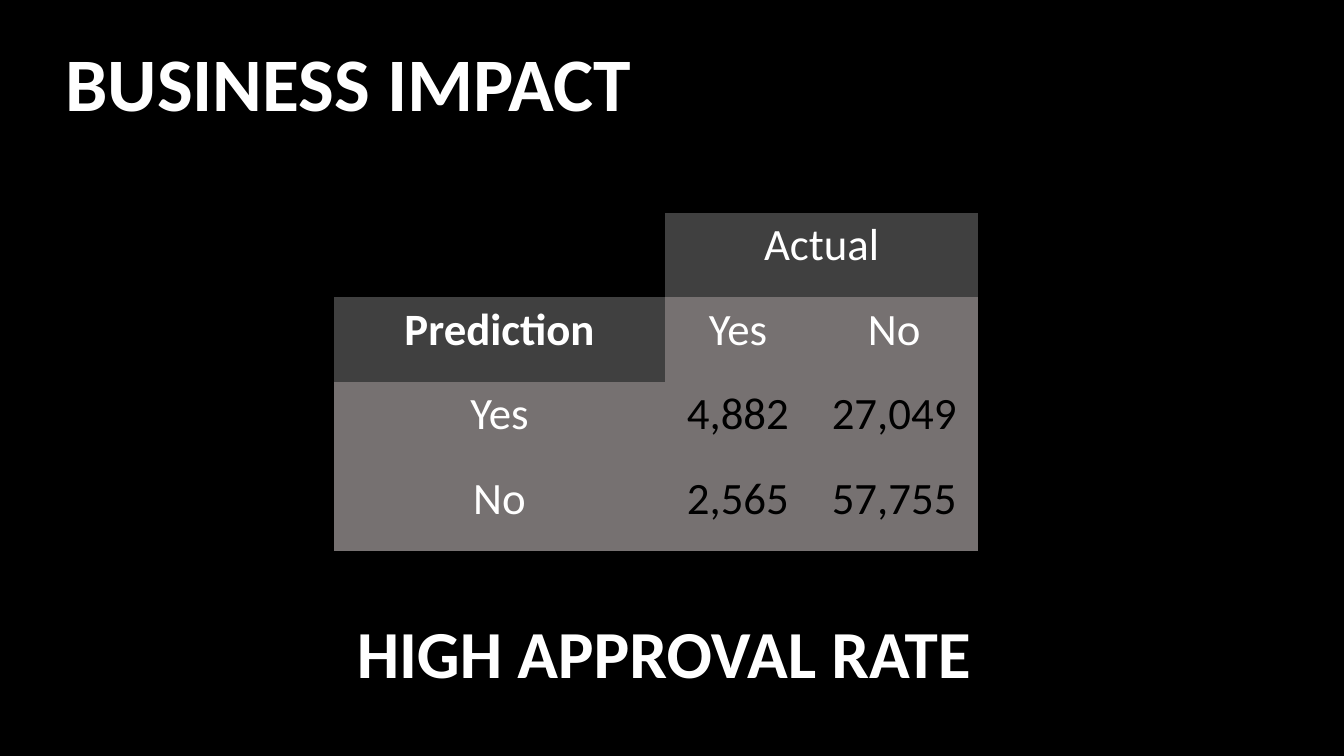
from pptx import Presentation
from pptx.dml.color import RGBColor
from pptx.enum.text import MSO_ANCHOR, MSO_AUTO_SIZE, PP_ALIGN
from pptx.util import Inches, Pt

BLACK, WHITE, DARK, GRAY = "000000", "FFFFFF", "404040", "767171"
NO_GRID_STYLE = "{2D5ABB26-0587-4C30-8999-92F81FD0307C}"

COLUMN_WIDTHS = [3.29, 1.44, 1.66]
ROW_HEIGHT = 0.84
MATRIX = [
    ["", "Actual", ""],
    ["Prediction", "Yes", "No"],
    ["Yes", "4,882", "27,049"],
    ["No", "2,565", "57,755"],
]


def color(value):
    return RGBColor.from_string(value)


def fill_solid(fill, value):
    fill.solid()
    fill.fore_color.rgb = color(value)


def write(frame, text, size, ink=WHITE, bold=False, align=PP_ALIGN.LEFT, line_spacing=1.0):
    para = frame.paragraphs[0]
    para.alignment = align
    para.line_spacing = line_spacing
    span = para.add_run()
    span.text = text
    span.font.name = "Calibri"
    span.font.size = Pt(size)
    span.font.bold = bold
    span.font.color.rgb = color(ink)


def add_title(page, text):
    title = page.shapes.title
    title.left, title.top = Inches(0.55), Inches(0.38)
    title.width, title.height = Inches(10), Inches(0.96)
    frame = title.text_frame
    frame.word_wrap = True
    frame.auto_size = MSO_AUTO_SIZE.NONE
    frame.vertical_anchor = MSO_ANCHOR.MIDDLE
    write(frame, text, 54, bold=True, line_spacing=0.9)


def add_conclusion(page, text):
    box = page.shapes.add_textbox(Inches(3.44), Inches(6.02), Inches(6.45), Inches(0.91))
    frame = box.text_frame
    frame.word_wrap = True
    frame.auto_size = MSO_AUTO_SIZE.SHAPE_TO_FIT_TEXT
    write(frame, text, 48, bold=True)


def cell_fill(row, column):
    if row == 0:
        return DARK if column else BLACK
    return DARK if (row, column) == (1, 0) else GRAY


def add_confusion_matrix(page):
    shape = page.shapes.add_table(
        len(MATRIX), len(COLUMN_WIDTHS), Inches(3.31), Inches(2.11),
        Inches(sum(COLUMN_WIDTHS)), Inches(ROW_HEIGHT * len(MATRIX)))
    table = shape.table
    table.first_row = table.horz_banding = False
    table._tbl.tblPr[0].text = NO_GRID_STYLE
    for column, width in zip(table.columns, COLUMN_WIDTHS):
        column.width = Inches(width)
    table.cell(0, 1).merge(table.cell(0, 2))
    for row, labels in enumerate(MATRIX):
        for column, label in enumerate(labels):
            cell = table.cell(row, column)
            fill_solid(cell.fill, cell_fill(row, column))
            if label:
                is_count = row > 1 and column > 0
                write(cell.text_frame, label, 32, ink=BLACK if is_count else WHITE,
                      bold=label == "Prediction", align=PP_ALIGN.CENTER)


def main():
    deck = Presentation()
    deck.slide_width, deck.slide_height = Inches(13.33), Inches(7.5)
    page = deck.slides.add_slide(deck.slide_layouts.get_by_name("Title Only"))
    fill_solid(page.background.fill, BLACK)
    add_title(page, "BUSINESS IMPACT")
    add_confusion_matrix(page)
    add_conclusion(page, "HIGH APPROVAL RATE")
    deck.save("out.pptx")


if __name__ == "__main__":
    main()
